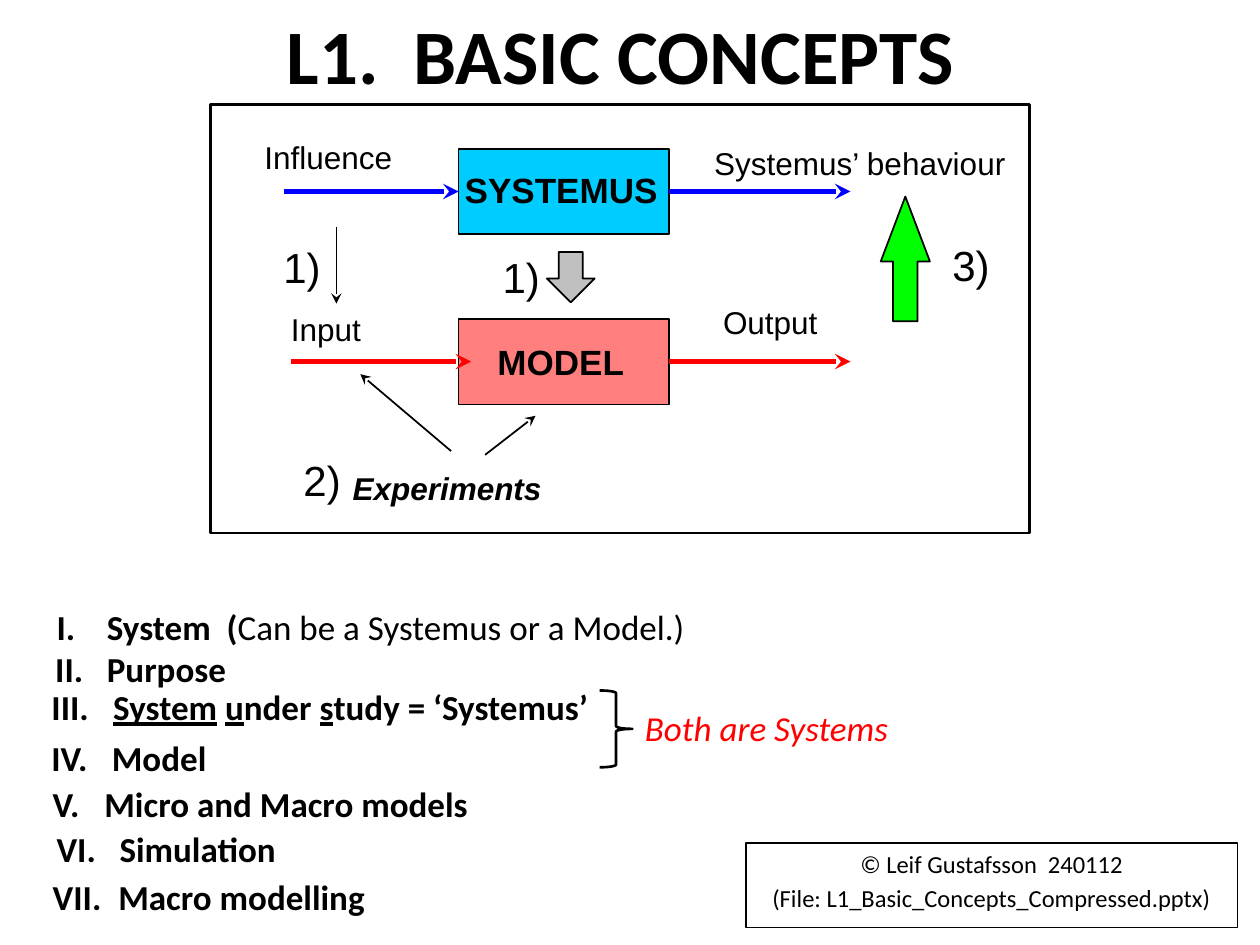
from lxml import etree
from pptx import Presentation
from pptx.dml.color import RGBColor
from pptx.enum.shapes import MSO_CONNECTOR, MSO_SHAPE
from pptx.enum.text import MSO_ANCHOR, PP_ALIGN
from pptx.oxml.ns import qn
from pptx.util import Inches, Pt

STRAIGHT = MSO_CONNECTOR.STRAIGHT
RECTANGLE = MSO_SHAPE.RECTANGLE
UP_ARROW, DOWN_ARROW = MSO_SHAPE.UP_ARROW, MSO_SHAPE.DOWN_ARROW
RIGHT_BRACE = MSO_SHAPE.RIGHT_BRACE
TOP, MIDDLE, BOTTOM = MSO_ANCHOR.TOP, MSO_ANCHOR.MIDDLE, MSO_ANCHOR.BOTTOM
CENTER = PP_ALIGN.CENTER
LEFT_SIDE, RIGHT_SIDE = 1, 3
COLORS = {
    "black": "000000", "white": "FFFFFF", "cyan": "00CCFF", "blue": "0000FF",
    "red": "FF0000", "green": "00FF00", "gray": "C0C0C0",
}


class SlideBuilder:
    diagram_font = "Arial"
    text_font = "Calibri"

    def __init__(self, presentation):
        self.slide = presentation.slides.add_slide(presentation.slide_layouts[5])

    def color(self, name):
        return RGBColor.from_string(COLORS[name])

    def format(self, paragraph, size, font, color="black", bold=False, italic=False):
        paragraph.font.size = Pt(size)
        paragraph.font.name = font
        paragraph.font.bold = bold
        paragraph.font.italic = italic
        paragraph.font.color.rgb = self.color(color)

    def title(self, text, left, top, width, height):
        title = self.slide.shapes.title
        title.left, title.top = Inches(left), Inches(top)
        title.width, title.height = Inches(width), Inches(height)
        title.text_frame.text = text
        title.text_frame.vertical_anchor = MIDDLE
        paragraph = title.text_frame.paragraphs[0]
        paragraph.alignment = CENTER
        self.format(paragraph, 44, self.text_font, bold=True)

    def shape(self, kind, left, top, width, height, fill=None, line=1, opacity=None):
        shape = self.slide.shapes.add_shape(
            kind, Inches(left), Inches(top), Inches(width), Inches(height))
        shape.shadow.inherit = False
        shape.line.color.rgb = self.color("black")
        shape.line.width = Pt(line)
        if fill is None:
            shape.fill.background()
        else:
            shape.fill.solid()
            shape.fill.fore_color.rgb = self.color(fill)
        if opacity is not None:
            color_element = shape.fill._xPr.find(qn("a:solidFill"))[0]
            etree.SubElement(color_element, qn("a:alpha"), val=str(opacity * 1000))
        return shape

    def text(self, text, left, top, width, height, size=18, font=None,
             anchor=TOP, **style):
        box = self.slide.shapes.add_textbox(
            Inches(left), Inches(top), Inches(width), Inches(height))
        box.text_frame.word_wrap = True
        box.text_frame.vertical_anchor = anchor
        paragraph = box.text_frame.paragraphs[0]
        paragraph.text = text
        self.format(paragraph, size, font or self.diagram_font, **style)
        return paragraph

    def arrow(self, start, end, color="black", width=1, source=None, target=None):
        connector = self.slide.shapes.add_connector(
            STRAIGHT, *(Inches(value) for value in start + end))
        if source is not None:
            connector.begin_connect(source, RIGHT_SIDE)
        if target is not None:
            connector.end_connect(target, LEFT_SIDE)
        connector.line.color.rgb = self.color(color)
        connector.line.width = Pt(width)
        line_element = connector.line._get_or_add_ln()
        etree.SubElement(line_element, qn("a:tailEnd"), type="stealth")
        etree.SubElement(connector._element.spPr, qn("a:effectLst"))

    def topic(self, number, runs, left, top, width, indent, height=0.44):
        paragraph = self.text(number + "\t", left, top, width, height, 20,
                              self.text_font, bold=True)
        properties = paragraph._p.get_or_add_pPr()
        properties.set("marL", str(Inches(indent)))
        properties.set("indent", str(-Inches(indent)))
        for text, style in runs:
            run = paragraph.add_run()
            run.text = text
            if style == "underline":
                run.font.underline = True
            elif style == "regular":
                run.font.bold = False

    def caption(self, lines, left, top, width, height):
        frame = self.shape(RECTANGLE, left, top, width, height, line=0.75).text_frame
        frame.word_wrap = True
        frame.vertical_anchor = TOP
        frame.text = "\n".join(lines)
        for paragraph in frame.paragraphs:
            paragraph.alignment = CENTER
            paragraph.space_before = Pt(2.8)
            self.format(paragraph, 14, self.text_font)


def main():
    presentation = Presentation()
    presentation.slide_width, presentation.slide_height = Inches(10), Inches(7.5)
    builder = SlideBuilder(presentation)
    builder.title("L1.  BASIC CONCEPTS", 0.18, 0, 9.49, 0.85)

    builder.shape(RECTANGLE, 1.67, 0.83, 6.5, 3.4, "white", 1.5)
    systemus = builder.shape(RECTANGLE, 3.64, 1.18, 1.67, 0.68, "cyan")
    model = builder.shape(RECTANGLE, 3.64, 2.53, 1.67, 0.68, "red", opacity=50)
    builder.shape(UP_ARROW, 6.99, 1.56, 0.39, 0.99, "green").adjustments[1] = 1.32
    builder.shape(DOWN_ARROW, 4.34, 2, 0.38, 0.4, "gray")

    builder.arrow((2.25, 1.52), (3.64, 1.52), "blue", 3, target=systemus)
    builder.arrow((5.31, 1.52), (6.75, 1.52), "blue", 3, source=systemus)
    builder.arrow((2.31, 2.87), (3.74, 2.87), "red", 3)
    builder.arrow((5.31, 2.87), (6.75, 2.87), "red", 3, source=model)
    builder.arrow((2.67, 1.8), (2.67, 2.41))
    builder.arrow((3.58, 3.58), (2.86, 2.97))
    builder.arrow((3.85, 3.61), (4.25, 3.3))

    for label, left, top, width in (
        ("Influence", 2, 1.05, 1.34),
        ("Systemus’ behaviour", 5.57, 1.09, 3.01),
        ("Input", 2.21, 2.41, 0.87),
        ("Output", 5.64, 2.36, 1.14),
    ):
        builder.text(label, left, top, width, 0.4)
    for step, left, top in (
        ("1)", 2.15, 1.87), ("1)", 3.89, 1.95), ("2)", 2.31, 3.56), ("3)", 7.46, 1.85),
    ):
        builder.text(step, left, top, 0.55, 0.46, 24)
    builder.text("SYSTEMUS", 3.59, 1.29, 1.9, 0.44, 20, bold=True)
    builder.text("MODEL", 3.85, 2.65, 1.37, 0.44, 20, bold=True)
    builder.text("Experiments", 2.7, 3.56, 2.87, 0.51, anchor=BOTTOM,
                 bold=True, italic=True)

    builder.topic("I.", [("System  (", "bold"),
                         ("Can be a Systemus or a Model.)", "regular")],
                  0.35, 4.76, 5.42, 0.4)
    builder.topic("II.", [("Purpose", "bold")], 0.34, 5.09, 4.34, 0.41)
    builder.topic("III.", [("System", "underline"), (" ", "bold"), ("u", "underline"),
                           ("nder ", "bold"), ("s", "underline"),
                           ("tudy = ‘Systemus’", "bold")],
                  0.31, 5.39, 4.61, 0.49, 0.77)
    builder.topic("IV.", [("Model", "bold")], 0.31, 5.8, 3.66, 0.48)
    builder.topic("V.", [("Micro and Macro models", "bold")], 0.32, 6.16, 3.72, 0.41)
    builder.topic("VI.", [("Simulation", "bold")], 0.35, 6.52, 3.65, 0.5)
    builder.topic("VII.", [("Macro modelling", "bold")], 0.32, 6.9, 3.52, 0.52)

    builder.shape(RIGHT_BRACE, 4.76, 5.48, 0.26, 0.61, line=1.5)
    builder.text("Both are Systems", 5.02, 5.56, 2.28, 0.44, 20, builder.text_font,
                 color="red", italic=True)
    builder.caption(["© Leif Gustafsson  240112",
                     "(File: L1_Basic_Concepts_Compressed.pptx)"],
                    5.92, 6.69, 3.9, 0.67)
    presentation.save("out.pptx")


if __name__ == "__main__":
    main()
